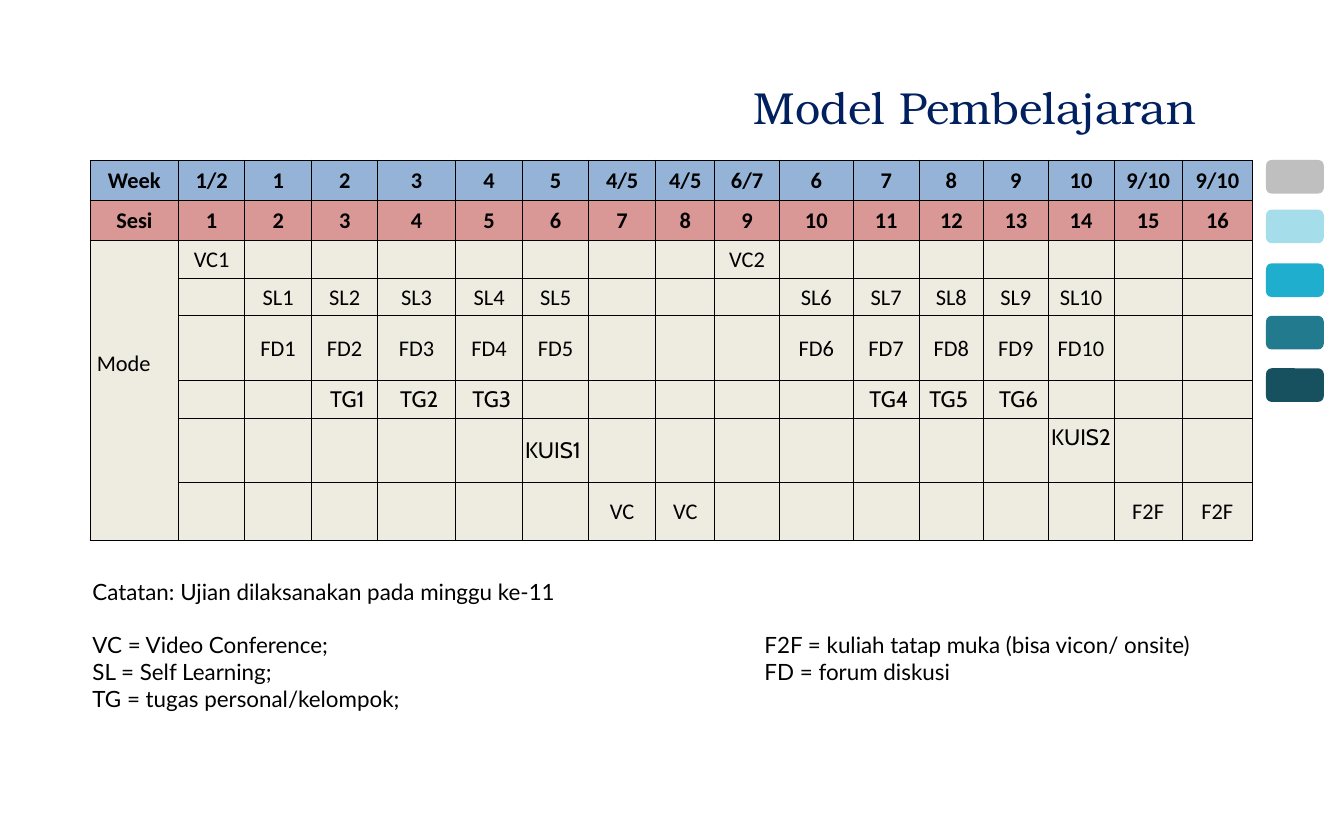
"""Build the learning model slide: a week-by-week schedule with its legend."""
import lxml.etree
import pptx
import pptx.dml.color
import pptx.enum.shapes
import pptx.enum.text
import pptx.oxml.ns
import pptx.util

Inches = pptx.util.Inches
Pt = pptx.util.Pt
ALIGN = pptx.enum.text.PP_ALIGN
ANCHOR = pptx.enum.text.MSO_ANCHOR
qn = pptx.oxml.ns.qn


def rgb(value):
    return pptx.dml.color.RGBColor.from_string(value)


def write(p, text, font="Calibri", size=12, color="000000", bold=False, align=ALIGN.CENTER):
    p.alignment = align
    r = p.add_run()
    r.text = text
    r.font.name = font
    r.font.size = Pt(size)
    r.font.bold = bold
    r.font.color.rgb = rgb(color)


prs = pptx.Presentation()
prs.slide_width = Inches(10)
prs.slide_height = Inches(6.25)
s = prs.slides.add_slide(prs.slide_layouts[6])

tabs = [(1.19, "BFBFBF"), (1.56, "A6DDEA"), (1.96, "1FAECD"), (2.35, "227A8F"), (2.74, "175160")]
for top, color in tabs:
    sp = s.shapes.add_shape(pptx.enum.shapes.MSO_SHAPE.ROUNDED_RECTANGLE,
                            Inches(9.42), Inches(top), Inches(0.43), Inches(0.25))
    sp.shadow.inherit = False
    sp.fill.solid()
    sp.fill.fore_color.rgb = rgb(color)
    sp.line.fill.background()

tf = s.shapes.add_textbox(Inches(2.66), Inches(0.25), Inches(6.34), Inches(0.79)).text_frame
tf.word_wrap = True
tf.vertical_anchor = ANCHOR.BOTTOM
write(tf.paragraphs[0], "Model Pembelajaran", font="TeX Gyre Bonum", size=24,
      color="002060", align=ALIGN.RIGHT)

tf = s.shapes.add_textbox(Inches(0.59), Inches(4.25), Inches(8.83), Inches(1.31)).text_frame
tf.word_wrap = True
notes = [
    "Catatan: Ujian dilaksanakan pada minggu ke-11",
    "VC = Video Conference;\tF2F = kuliah tatap muka (bisa vicon/ onsite)",
    "SL = Self Learning;\tFD = forum diskusi",
    "TG = tugas personal/kelompok;",
]
for i, note in enumerate(notes):
    p = tf.paragraphs[0] if i == 0 else tf.add_paragraph()
    write(p, note, font="Lato", align=ALIGN.LEFT)
    if i == 1:
        p.space_before = Pt(14.4)
    if "\t" in note:
        stops = lxml.etree.SubElement(p._p.get_or_add_pPr(), qn("a:tabLst"))
        lxml.etree.SubElement(stops, qn("a:tab"), pos=str(Inches(5)), algn="l")

widths = [0.66, 0.49, 0.5, 0.49, 0.58, 0.5, 0.49, 0.5, 0.44,
          0.48, 0.55, 0.49, 0.48, 0.48, 0.49, 0.51, 0.52]
heights = [0.3, 0.3, 0.28, 0.28, 0.48, 0.28, 0.48, 0.43]
fills = ["95B3D7", "D99795"] + ["EEECE1"] * 6
weeks = "1/2 1 2 3 4 5 4/5 4/5 6/7 6 7 8 9 10 9/10 9/10".split()
learning_cols = [2, 3, 4, 5, 6, 10, 11, 12, 13, 14]
task_cols = [3, 4, 5, 11, 12, 13]

texts = {(0, 0): "Week", (1, 0): "Sesi", (2, 0): "Mode", (2, 1): "VC1", (2, 9): "VC2",
         (6, 6): "KUIS1", (6, 14): "KUIS2",
         (7, 7): "VC", (7, 8): "VC", (7, 15): "F2F", (7, 16): "F2F"}
for col, week in enumerate(weeks, 1):
    texts[0, col] = week
    texts[1, col] = str(col)
for n, col in enumerate(learning_cols, 1):
    texts[3, col] = f"SL{n}"
    texts[4, col] = f"FD{n}"
for n, col in enumerate(task_cols, 1):
    texts[5, col] = f"TG{n}"

table = s.shapes.add_table(len(heights), len(widths), Inches(0.67), Inches(1.19),
                           Inches(sum(widths)), Inches(sum(heights))).table
for col, width in enumerate(widths):
    table.columns[col].width = Inches(width)
for row, height in enumerate(heights):
    table.rows[row].height = Inches(height)
    for col in range(len(widths)):
        cell = table.cell(row, col)
        cell.vertical_anchor = ANCHOR.MIDDLE
        cell.margin_left = cell.margin_right = cell.margin_top = Inches(0.01)
        cell.margin_bottom = 0
        for side in ("a:lnL", "a:lnR", "a:lnT", "a:lnB"):
            ln = lxml.etree.SubElement(cell._tc.get_or_add_tcPr(), qn(side), w=str(Pt(0.5)))
            fill = lxml.etree.SubElement(ln, qn("a:solidFill"))
            lxml.etree.SubElement(fill, qn("a:srgbClr"), val="000000")
        cell.fill.solid()
        cell.fill.fore_color.rgb = rgb(fills[row])
        p = cell.text_frame.paragraphs[0]
        if (row, col) in texts:
            write(p, texts[row, col], font="Cabin" if row in (5, 6) else "Calibri",
                  bold=row < 2, align=ALIGN.LEFT if (row, col) == (2, 0) else ALIGN.CENTER)
        else:
            p._p.get_or_add_endParaRPr().set("sz", "1200")

for col in task_cols:
    table.cell(5, col).margin_left = Inches(0.05)
table.cell(5, 12).margin_left = Inches(0.01)
for row, col in ((5, 12), (6, 6)):
    table.cell(row, col).margin_right = Inches(0.05)
table.cell(6, 14).margin_bottom = Inches(0.2)

mode = table.cell(2, 0)
mode.merge(table.cell(7, 0))
mode.margin_left = Inches(0.05)
mode.margin_bottom = Inches(0.4)

prs.save("out.pptx")
